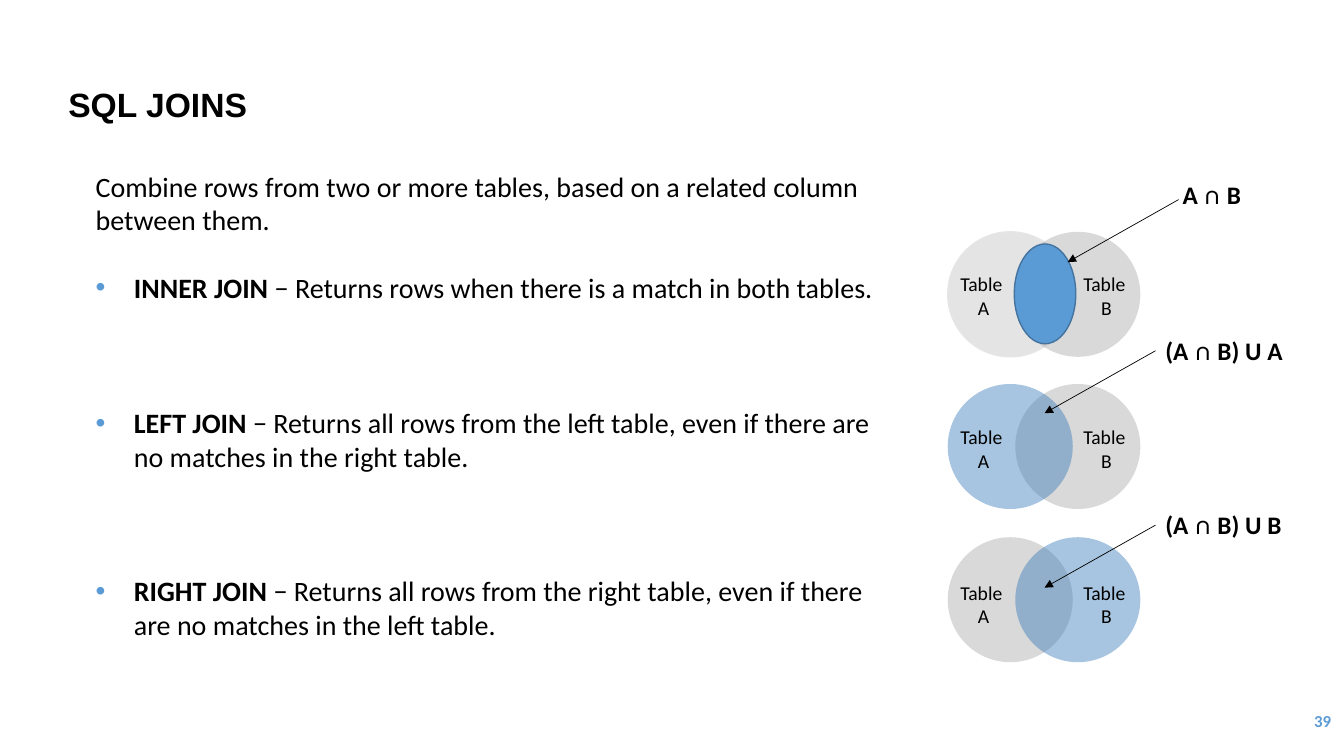
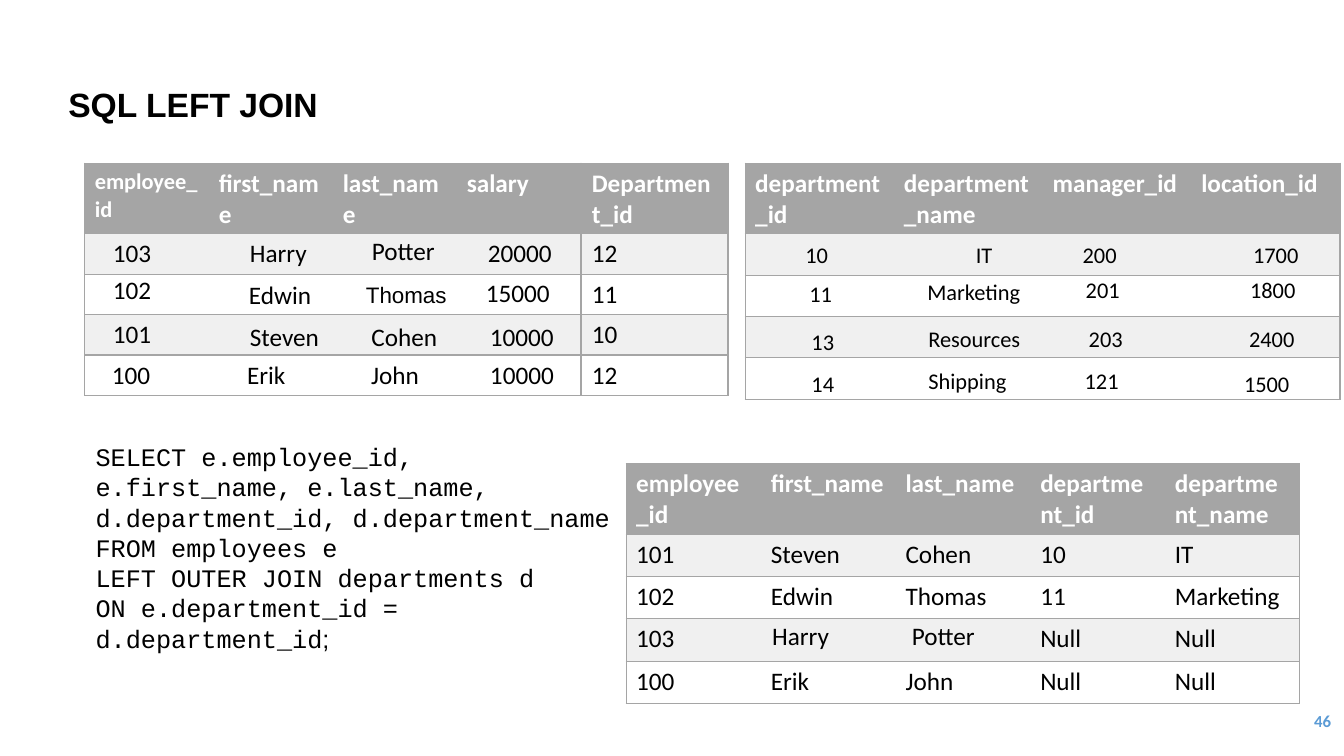
"""Build two slides on SQL joins: Venn diagrams and a worked left join."""
from lxml.etree import SubElement
from pptx import Presentation
from pptx.dml.color import RGBColor
from pptx.enum.shapes import MSO_CONNECTOR, MSO_SHAPE
from pptx.enum.text import MSO_ANCHOR, PP_ALIGN
from pptx.oxml.ns import qn
from pptx.util import Inches, Pt

BLACK = RGBColor(0x00, 0x00, 0x00)
WHITE = RGBColor(0xFF, 0xFF, 0xFF)
BLUE = RGBColor(0x5B, 0x9B, 0xD5)
DEEP_BLUE = RGBColor(0x2E, 0x75, 0xB6)
LENS_EDGE = RGBColor(0x43, 0x73, 0x9E)
GRAY = RGBColor(0xA5, 0xA5, 0xA5)
CIRCLE_GRAY = RGBColor(0xA6, 0xA6, 0xA6)
PALE_CIRCLE = RGBColor(0xBF, 0xBF, 0xBF)
PALE_EDGE = RGBColor(0xE7, 0xE6, 0xE6)
BAND = RGBColor(0xF0, 0xF0, 0xF0)

INTRO = "Combine rows from two or more tables, based on a related column between them."
JOINS = [
    ("INNER JOIN", " − Returns rows when there is a match in both tables.", 24),
    ("LEFT JOIN", " − Returns all rows from the left table, even if there are "
     "no matches in the right table.", 73),
    ("RIGHT JOIN", " − Returns all rows from the right table, even if there "
     "are no matches in the left table.", 72),
]

CIRCLE, LEFT_X, RIGHT_X = 1.24, 9.4, 10.07
VENNS = [
    {"top": 2.3, "circles": [(LEFT_X, PALE_CIRCLE, PALE_EDGE), (RIGHT_X, CIRCLE_GRAY, None)],
     "lens": True, "names": 2.65, "formula": "A ∩ B",
     "label": (11.63, 1.73), "arrow": (11.69, 1.98)},
    {"top": 3.81, "circles": [(RIGHT_X, CIRCLE_GRAY, None), (LEFT_X, DEEP_BLUE, None)],
     "lens": False, "names": 4.17, "formula": "(A ∩ B) U A",
     "label": (11.46, 3.28), "arrow": (11.46, 3.48)},
    {"top": 5.33, "circles": [(LEFT_X, CIRCLE_GRAY, None), (RIGHT_X, DEEP_BLUE, None)],
     "lens": False, "names": 5.71, "formula": "(A ∩ B) U B",
     "label": (11.46, 5), "arrow": (11.46, 5.21)},
]
ARROW_DX, ARROW_DY = -1.1, 0.62

QUERY = [
    "SELECT e.employee_id, e.first_name, e.last_name, d.department_id, d.department_name",
    "FROM employees e",
    "LEFT OUTER JOIN departments d",
    "ON e.department_id = d.department_id",
]

HEADER_HEIGHT = 0.7
DEPARTMENTS = {
    "at": (7.39, 1.62), "width": 5.9, "row": 0.41, "indents": (0.1,) * 4,
    "rows": [("department_id", "department_name", "manager_id", "location_id")]
    + [("",) * 4] * 4,
}
RESULT = {
    "at": (6.21, 4.6), "width": 6.68, "row": 0.42, "indents": (0.1,) * 5,
    "rows": [
        ("employee_id", "first_name", "last_name", "department_id", "department_name"),
        ("101", "Steven", "Cohen", "10", "IT"),
        ("102", "Edwin", "Thomas", "11", "Marketing"),
        ("103", "", "", "Null", "Null"),
        ("100", "Erik", "John", "Null", "Null"),
    ],
}
EMPLOYEES = {
    "at": (0.84, 1.62), "width": 4.92, "row": 0.4, "indents": (0.27, 0.38, 0.38, 0.33),
    "rows": [("employee_id", "first_name", "last_name", "salary")]
    + [("",) * 4] * 3 + [("100", "Erik", "John", "10000")],
}
EMPLOYEE_DEPARTMENTS = {
    "at": (5.77, 1.62), "width": 1.45, "row": 0.4, "indents": (0.1,),
    "rows": [("Department_id",), ("12",), ("11",), ("10",), ("12",)],
}

DEPARTMENT_WIDTHS = (0.66, 1.43, 0.94, 0.79)
DEPARTMENT_VALUES = [
    [("10", 7.89, 2.34), ("IT", 9.58, 2.34), ("200", 10.64, 2.34), ("1700", 12.33, 2.34)],
    [("11", 7.93, 2.73), ("Marketing", 9.1, 2.71), ("201", 10.67, 2.69), ("1800", 12.3, 2.69)],
    [("13", 7.95, 3.21), ("Resources", 9.11, 3.18), ("203", 10.7, 3.18), ("2400", 12.29, 3.18)],
    [("14", 7.95, 3.62), ("Shipping", 9.11, 3.59), ("121", 10.66, 3.59), ("1500", 12.24, 3.62)],
]
EMPLOYEE_WIDTHS = (0.72, 0.98, 1, 1.18)
EMPLOYEE_VALUES = [
    [("103", 1.02, 2.31), ("Harry", 2.38, 2.31), ("Potter", 3.5, 2.29), ("20000", 4.74, 2.31)],
    [("102", 1.02, 2.67), ("Edwin", 2.37, 2.72), ("Thomas", 3.53, 2.74), ("15000", 4.72, 2.7)],
    [("101", 1.02, 3.11), ("Steven", 2.38, 3.14), ("Cohen", 3.51, 3.14), ("10000", 4.76, 3.14)],
]
RESULT_WIDTHS = (0.97, 0.85)
RESULT_VALUES = [[("Harry", 7.56, 6.11), ("Potter", 8.93, 6.1)]]
CENTERED = {"Potter", "Thomas", "Cohen"}


def set_font(target, size, color=BLACK, bold=False, name="Calibri"):
    font = target.font
    font.name, font.size, font.bold = name, Pt(size), bold
    font.color.rgb = color


def add_text(s, x, y, w, h, lines, size, color=BLACK, bold=False, name="Calibri",
             align=PP_ALIGN.LEFT, anchor=MSO_ANCHOR.TOP):
    tf = s.shapes.add_textbox(Inches(x), Inches(y), Inches(w), Inches(h)).text_frame
    tf.word_wrap = True
    tf.vertical_anchor = anchor
    tf.text = "\n".join(lines)
    for p in tf.paragraphs:
        p.alignment = align
        for r in p.runs:
            set_font(r, size, color, bold, name)
    return tf


def add_slide(prs, title, number):
    s = prs.slides.add_slide(prs.slide_layouts[6])
    tf = add_text(s, 0.58, 0.86, 10.44, 0.4, [title], 24, bold=True, name="Arial",
                  anchor=MSO_ANCHOR.MIDDLE)
    tf.paragraphs[0].line_spacing = 0.9
    add_text(s, 11.63, 6.95, 1.67, 0.4, [number], 12, BLUE, True,
             align=PP_ALIGN.RIGHT, anchor=MSO_ANCHOR.MIDDLE)
    return s


def add_bullet(p):
    pPr = p._p.get_or_add_pPr()
    pPr.set("marL", str(Inches(0.38)))
    pPr.set("indent", str(-Inches(0.38)))
    SubElement(SubElement(pPr, qn("a:buClr")), qn("a:srgbClr"), val=str(BLUE))
    SubElement(pPr, qn("a:buFont"), typeface="Arial")
    SubElement(pPr, qn("a:buChar"), char="•")


def add_ellipse(s, x, y, w, h, fill, edge=None, alpha=None):
    sp = s.shapes.add_shape(MSO_SHAPE.OVAL, Inches(x), Inches(y), Inches(w), Inches(h))
    sp.shadow.inherit = False
    sp.fill.solid()
    sp.fill.fore_color.rgb = fill
    if alpha:
        color = sp.element.spPr.find(".//" + qn("a:srgbClr"))
        SubElement(color, qn("a:alpha"), val=str(alpha * 1000))
    if edge:
        sp.line.color.rgb = edge
        sp.line.width = Pt(1)
    else:
        sp.line.fill.background()


def add_arrow(s, x, y):
    cx = s.shapes.add_connector(MSO_CONNECTOR.STRAIGHT, Inches(x), Inches(y),
                                Inches(x + ARROW_DX), Inches(y + ARROW_DY))
    cx.line.color.rgb = BLACK
    cx.line.width = Pt(0.5)
    SubElement(cx.line._get_or_add_ln(), qn("a:tailEnd"), type="triangle")
    SubElement(cx.element.spPr, qn("a:effectLst"))


def add_venn(s, venn):
    top = venn["top"]
    for x, fill, edge in venn["circles"]:
        add_ellipse(s, x, top, CIRCLE, CIRCLE, fill, edge, 42)
    if venn["lens"]:
        add_ellipse(s, 10.06, top + 0.12, 0.61, 0.99, BLUE, LENS_EDGE)
    for x, letter in ((9.36, "A"), (10.58, "B")):
        add_text(s, x, venn["names"], 0.79, 0.57, ["Table ", letter], 14,
                 align=PP_ALIGN.CENTER)
    add_text(s, *venn["label"], 1.61, 0.4, [venn["formula"]], 18, bold=True)
    add_arrow(s, *venn["arrow"])


def set_borders(cell, first, last):
    tcPr = cell._tc.get_or_add_tcPr()
    for side, visible in (("L", first), ("R", last), ("T", True), ("B", True)):
        ln = SubElement(tcPr, qn("a:ln" + side), w=str(Pt(1)))
        if visible:
            SubElement(SubElement(ln, qn("a:solidFill")), qn("a:srgbClr"), val=str(GRAY))
        else:
            SubElement(ln, qn("a:noFill"))


def add_grid(s, grid):
    rows, width, height = grid["rows"], grid["width"], grid["row"]
    n = len(rows[0])
    x, y = grid["at"]
    table = s.shapes.add_table(
        len(rows), n, Inches(x), Inches(y), Inches(width),
        Inches(HEADER_HEIGHT + height * (len(rows) - 1))).table
    for column in table.columns:
        column.width = Inches(width / n)
    for i, values in enumerate(rows):
        header = i == 0
        table.rows[i].height = Inches(HEADER_HEIGHT if header else height)
        for j, value in enumerate(values):
            cell = table.cell(i, j)
            set_borders(cell, j == 0, j == n - 1)
            cell.fill.solid()
            cell.fill.fore_color.rgb = GRAY if header else BAND if i % 2 else WHITE
            cell.text = value
            set_font(cell.text_frame.paragraphs[0], 18, WHITE if header else BLACK, header)
            for r in cell.text_frame.paragraphs[0].runs:
                set_font(r, 18, WHITE if header else BLACK, header)
            if not header:
                cell.margin_left = Inches(grid["indents"][j])
    return table


def add_values(s, rows, widths, size):
    for row in rows:
        for (value, x, y), width in zip(row, widths):
            align = PP_ALIGN.CENTER if value in CENTERED else PP_ALIGN.LEFT
            tf = add_text(s, x, y, width, 0.4 if size == 18 else 0.37, [value], size,
                          align=align)
            if value == "Thomas":
                set_font(tf.paragraphs[0].runs[0], 16, name="Arial")


def build_joins(prs):
    s = add_slide(prs, "SQL JOINS", "39")
    tf = add_text(s, 0.85, 1.63, 7.93, 4.81, [INTRO], 20)
    for name, meaning, gap in JOINS:
        p = tf.add_paragraph()
        add_bullet(p)
        p.space_before = Pt(gap)
        for text, bold in ((name, True), (meaning, False)):
            r = p.add_run()
            r.text = text
            set_font(r, 20, bold=bold)
    for venn in VENNS:
        add_venn(s, venn)


def build_left_join(prs):
    s = add_slide(prs, "SQL LEFT JOIN", "46")
    tf = add_text(s, 0.85, 4.33, 5.36, 2.23, QUERY, 18, name="Courier New")
    r = tf.paragraphs[-1].add_run()
    r.text = ";"
    set_font(r, 18, name="Arial")
    add_grid(s, DEPARTMENTS)
    add_values(s, DEPARTMENT_VALUES, DEPARTMENT_WIDTHS, 16)
    add_grid(s, RESULT)
    add_values(s, RESULT_VALUES, RESULT_WIDTHS, 18)
    employees = add_grid(s, EMPLOYEES)
    set_font(employees.cell(0, 0).text_frame.paragraphs[0].runs[0], 16, WHITE, True)
    add_values(s, EMPLOYEE_VALUES, EMPLOYEE_WIDTHS, 18)
    add_grid(s, EMPLOYEE_DEPARTMENTS)


def main():
    prs = Presentation()
    prs.slide_width, prs.slide_height = Inches(13.33), Inches(7.5)
    build_joins(prs)
    build_left_join(prs)
    prs.save("out.pptx")


if __name__ == "__main__":
    main()
